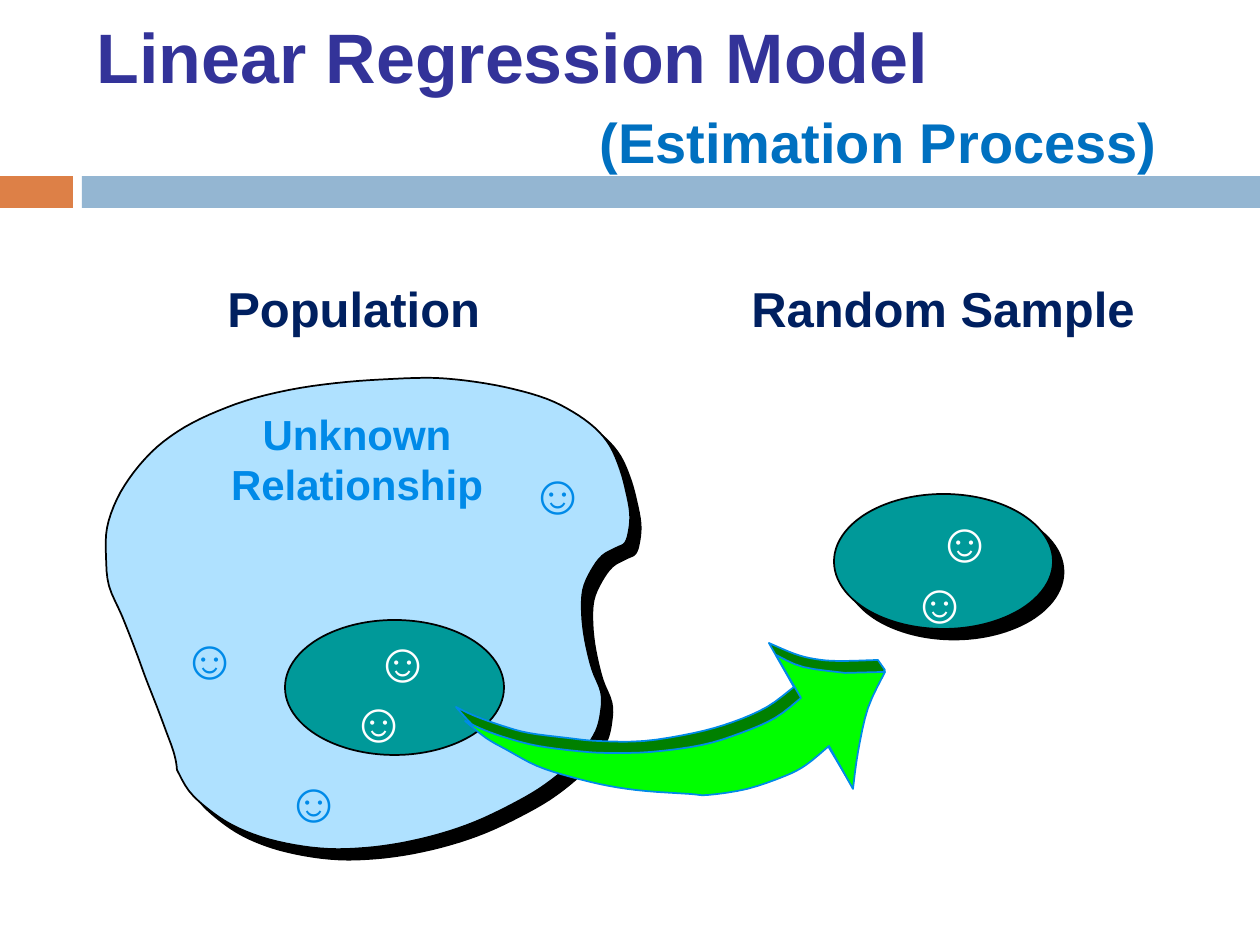
from lxml.etree import SubElement
from pptx import Presentation
from pptx.dml.color import RGBColor
from pptx.enum.shapes import MSO_SHAPE
from pptx.enum.text import MSO_ANCHOR, MSO_AUTO_SIZE, PP_ALIGN
from pptx.oxml.ns import qn
from pptx.util import Emu, Inches, Pt

SCALE = Inches(1) / 126
FONT = "Arial"
CURVE_STEPS = 4

BLACK = RGBColor(0x00, 0x00, 0x00)
WHITE = RGBColor(0xFF, 0xFF, 0xFF)
ORANGE = RGBColor(0xDD, 0x80, 0x47)
STEEL = RGBColor(0x94, 0xB6, 0xD2)
SKY = RGBColor(0xAF, 0xE1, 0xFF)
BLUE = RGBColor(0x00, 0x8A, 0xE8)
NAVY = RGBColor(0x00, 0x20, 0x60)
TEAL = RGBColor(0x00, 0x99, 0x99)
DARK_GREEN = RGBColor(0x00, 0x80, 0x00)
GREEN = RGBColor(0x00, 0xFF, 0x00)
INDIGO = RGBColor(0x33, 0x33, 0x99)
SUBTITLE_BLUE = RGBColor(0x00, 0x70, 0xC0)

TITLE_LINES = [
    ("Linear Regression Model", 40, INDIGO, 0, 0),
    ("(Estimation Process)", 32, SUBTITLE_BLUE, 503, 6),
]
BARS = [(0, 73, ORANGE), (82, 1178, STEEL)]
LABELS = [
    ("Unknown Relationship", (215, 402, 284, 113), 24, BLUE, PP_ALIGN.CENTER),
    ("Population", (215, 272, 284, 71), 28, NAVY, PP_ALIGN.LEFT),
    ("Random Sample", (728, 272, 430, 71), 28, NAVY, PP_ALIGN.CENTER),
]
ELLIPSES = [(834, 494, True), (285, 620, False)]
SMILEYS = [
    (166, 617, BLUE), (359, 620, WHITE), (514, 452, BLUE), (270, 760, BLUE),
    (335, 680, WHITE), (921, 500, WHITE), (896, 561, WHITE),
]

# Each outline is a list of smooth curves that meet at sharp corners.
POPULATION = [[
    (177, 770), (189, 791), (208, 809), (232, 825), (261, 837), (294, 845),
    (329, 849), (365, 848), (402, 843), (440, 834), (475, 822), (509, 806),
    (539, 789), (564, 770), (583, 751), (596, 731), (601, 711), (601, 692),
    (592, 669), (585, 640), (582, 614), (583, 590), (591, 571), (602, 556),
    (616, 548), (625, 543), (629, 530), (630, 513), (626, 491), (620, 469),
    (610, 446), (595, 428), (573, 412), (547, 399), (513, 389), (476, 382),
    (435, 378), (392, 379), (347, 382), (300, 388), (255, 398), (218, 411),
    (185, 427), (157, 447), (134, 472), (117, 499), (107, 528), (106, 557),
    (109, 586), (122, 616), (135, 649), (146, 679), (157, 707), (166, 731),
    (173, 750), (176, 762), (177, 770),
]]
ARROW_EDGE = [
    [(456, 707), (478, 730), (500, 742), (528, 753), (563, 765), (602, 775),
     (638, 780), (684, 784), (723, 781), (760, 772), (789, 761), (809, 747),
     (822, 736)],
    [(852, 786), (855, 747), (864, 704), (871, 689), (885, 670)],
    [(878, 660), (838, 661), (815, 659), (795, 654), (769, 643)],
    [(794, 687), (767, 707), (733, 722), (694, 733), (644, 741), (598, 741),
     (568, 738), (529, 733), (503, 726), (475, 716), (456, 707)],
]
ARROW_FACE = [
    [(465, 721), (486, 738), (507, 750), (537, 766), (571, 777), (609, 786),
     (645, 791), (690, 794), (708, 795), (747, 789), (785, 776), (806, 765),
     (829, 746)],
    [(853, 789), (858, 752), (868, 708), (885, 672)],
    [(845, 673), (803, 667), (776, 655)],
    [(801, 698), (775, 718), (741, 733), (702, 745), (651, 752), (606, 753),
     (576, 751), (538, 746), (510, 739), (484, 730), (465, 721)],
]


def px(value):
    return Emu(round(value * SCALE))


def smooth(points):
    padded = [points[0], *points, points[-1]]
    result = [points[0]]
    for a, b, c, d in zip(padded, padded[1:], padded[2:], padded[3:]):
        for step in range(1, CURVE_STEPS + 1):
            t = step / CURVE_STEPS
            result.append(tuple(
                q + t * (r - p) / 2
                + t * t * (2 * p - 5 * q + 4 * r - s) / 2
                + t ** 3 * (3 * q - p - 3 * r + s) / 2
                for p, q, r, s in zip(a, b, c, d)))
    return result


def paint(shape, fill, line=None, shadowed=False):
    shape.shadow.inherit = False
    shape.fill.solid()
    shape.fill.fore_color.rgb = fill
    if line is None:
        shape.line.fill.background()
    else:
        shape.line.color.rgb = line
        shape.line.width = Pt(1)
    if shadowed:
        effects = shape._element.spPr.find(qn("a:effectLst"))
        shadow = SubElement(effects, qn("a:outerShdw"), blurRad="0",
                            dist=str(Pt(8.5)), dir="2700000",
                            algn="ctr", rotWithShape="0")
        SubElement(shadow, qn("a:srgbClr"), val=str(BLACK))


def add_outline(shapes, curves, fill, line, shadowed=False):
    points = [(px(x), px(y)) for curve in curves for x, y in smooth(curve)]
    builder = shapes.build_freeform(*points[0], scale=1.0)
    builder.add_line_segments(points[1:], close=True)
    paint(builder.convert_to_shape(), fill, line, shadowed)


def add_run(paragraph, text, size, color):
    run = paragraph.add_run()
    run.text = text
    run.font.name = FONT
    run.font.size = Pt(size)
    run.font.bold = True
    run.font.color.rgb = color


def add_label(shapes, text, box, size, color, align, wrap=True):
    frame = shapes.add_textbox(*map(px, box)).text_frame
    frame.word_wrap = wrap
    paragraph = frame.paragraphs[0]
    paragraph.alignment = align
    add_run(paragraph, text, size, color)


def fill_title(title):
    title.left, title.top, title.width, title.height = map(px, (84, 21, 1124, 136))
    frame = title.text_frame
    frame.auto_size = MSO_AUTO_SIZE.NONE
    frame.vertical_anchor = MSO_ANCHOR.MIDDLE
    frame.margin_top, frame.margin_bottom = px(10), 0
    for index, (text, size, color, indent, before) in enumerate(TITLE_LINES):
        paragraph = frame.add_paragraph() if index else frame.paragraphs[0]
        paragraph.alignment = PP_ALIGN.LEFT
        if index:
            paragraph.space_before = Pt(before)
            paragraph._p.get_or_add_pPr().set("marL", str(px(indent)))
        add_run(paragraph, text, size, color)


def main():
    presentation = Presentation()
    presentation.slide_width, presentation.slide_height = Inches(10), Inches(7.5)
    slide = presentation.slides.add_slide(presentation.slide_layouts[5])
    shapes = slide.shapes
    fill_title(shapes.title)

    for left, width, color in BARS:
        paint(shapes.add_shape(MSO_SHAPE.RECTANGLE, px(left), px(176),
                               px(width), px(32)), color)
    add_outline(shapes, POPULATION, SKY, BLACK, shadowed=True)
    for label in LABELS:
        add_label(shapes, *label)
    for left, top, shadowed in ELLIPSES:
        ellipse = shapes.add_shape(MSO_SHAPE.OVAL, px(left), px(top), px(219), px(135))
        paint(ellipse, TEAL, BLACK, shadowed)
    for left, top, color in SMILEYS:
        add_label(shapes, "☺", (left, top, 88, 79), 32, color,
                  PP_ALIGN.CENTER, wrap=False)
    arrow = shapes.add_group_shape()
    add_outline(arrow.shapes, ARROW_EDGE, DARK_GREEN, BLUE)
    add_outline(arrow.shapes, ARROW_FACE, GREEN, BLUE)

    presentation.save("out.pptx")


if __name__ == "__main__":
    main()
